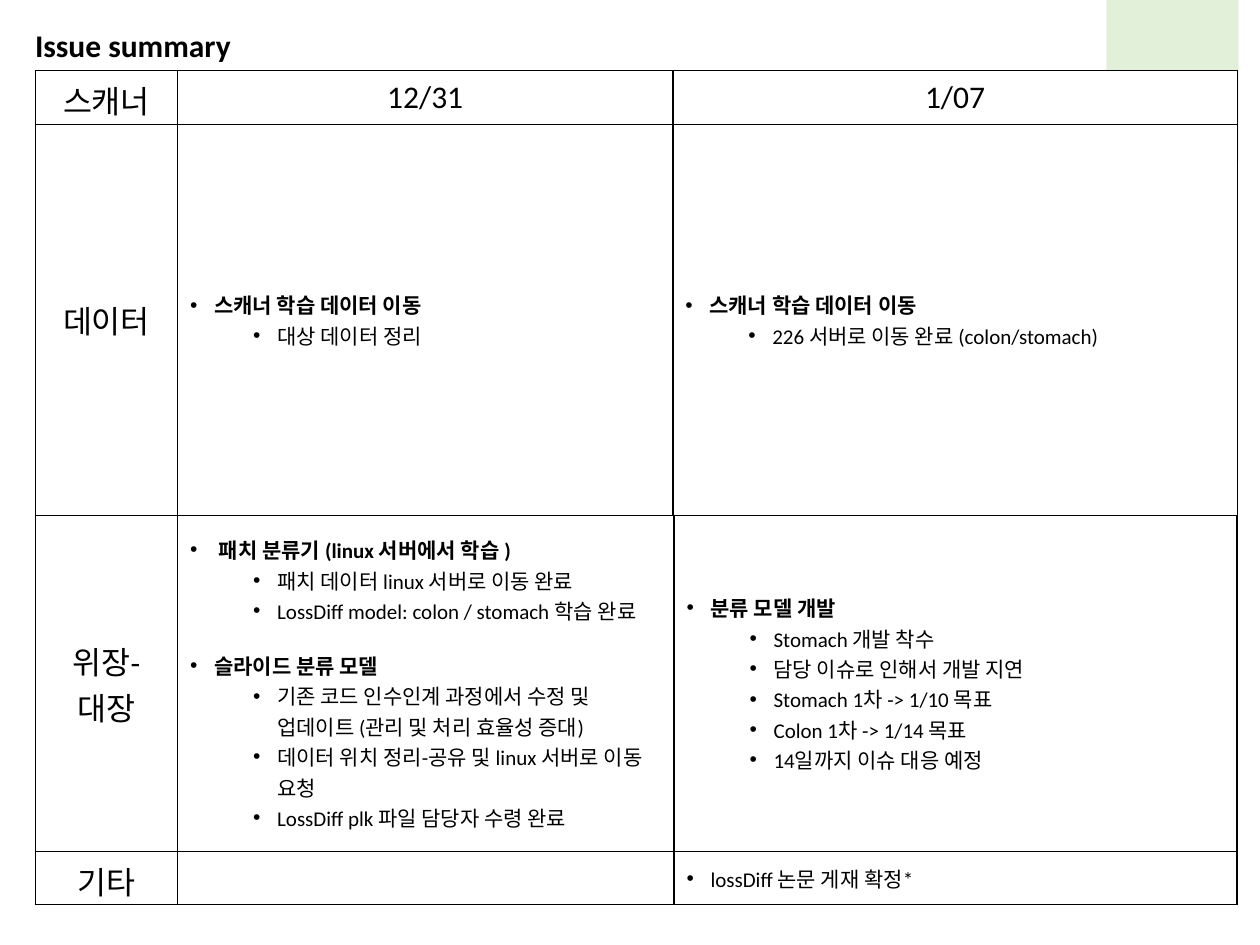
"""Build the weekly issue summary slide."""
import pptx
import pptx.dml.color
import pptx.enum.shapes
import pptx.enum.text
import pptx.oxml
import pptx.oxml.ns
import pptx.util
from pptx.util import Inches

BLACK = pptx.dml.color.RGBColor(0x00, 0x00, 0x00)
WHITE = pptx.dml.color.RGBColor(0xFF, 0xFF, 0xFF)
PALE_GREEN = pptx.dml.color.RGBColor(0xE2, 0xF0, 0xD9)

STATUS_COLUMNS = [1.13, 3.93, 4.48]
PROGRESS_COLUMNS = [1.13, 3.94, 4.47]
HEADING, DETAIL = 0, 1

STATUS_ROWS = [
    ["스캐너", "12/31", "1/07"],
    [
        "데이터",
        [(HEADING, "스캐너 학습 데이터 이동"), (DETAIL, "대상 데이터 정리")],
        [(HEADING, "스캐너 학습 데이터 이동"),
         (DETAIL, "226 서버로 이동 완료 (colon/stomach)")],
    ],
]
PROGRESS_ROWS = [
    [
        "위장-대장",
        [
            (HEADING, " 패치 분류기 (linux 서버에서 학습 )"),
            (DETAIL, "패치 데이터 linux 서버로 이동 완료"),
            (DETAIL, "LossDiff model: colon / stomach 학습 완료"),
            (HEADING, "슬라이드 분류 모델"),
            (DETAIL, "기존 코드 인수인계 과정에서 수정 및 업데이트 (관리 및 처리 효율성 증대)"),
            (DETAIL, "데이터 위치 정리-공유 및 linux 서버로 이동 요청"),
            (DETAIL, "LossDiff plk 파일 담당자 수령 완료"),
        ],
        [
            (HEADING, "분류 모델 개발"),
            (DETAIL, "Stomach 개발 착수"),
            (DETAIL, "담당 이슈로 인해서 개발 지연"),
            (DETAIL, "Stomach 1차 -> 1/10 목표"),
            (DETAIL, "Colon 1차 -> 1/14 목표"),
            (DETAIL, "14일까지 이슈 대응 예정"),
        ],
    ],
    ["기타", "", [(HEADING, "lossDiff 논문 게재 확정*")]],
]


class SlideBuilder:
    """Hold the style and the current slide."""

    font_name = "Calibri"
    label_size = 18
    item_size = 12
    group_gap = 14
    border_width = 1

    def __init__(self, slide):
        self.slide = slide

    def style(self, paragraph, size, bold=False):
        font = paragraph.font
        font.name = self.font_name
        font.size = pptx.util.Pt(size)
        font.bold = bold
        font.color.rgb = BLACK

    def rectangle(self, left, top, width, height, color):
        shape = self.slide.shapes.add_shape(
            pptx.enum.shapes.MSO_SHAPE.RECTANGLE,
            Inches(left), Inches(top), Inches(width), Inches(height))
        shape.shadow.inherit = False
        shape.fill.solid()
        shape.fill.fore_color.rgb = color
        shape.line.fill.background()

    def title(self, left, top, width, height, text):
        shape = self.slide.shapes.add_textbox(
            Inches(left), Inches(top), Inches(width), Inches(height))
        shape.text_frame.word_wrap = True
        paragraph = shape.text_frame.paragraphs[0]
        paragraph.text = text
        self.style(paragraph, self.label_size, bold=True)

    def table(self, left, top, columns, heights, rows):
        table = self.slide.shapes.add_table(
            len(rows), len(columns), Inches(left), Inches(top),
            Inches(sum(columns)), Inches(sum(heights))).table
        table.first_row = table.horz_banding = False
        for column, width in zip(table.columns, columns):
            column.width = Inches(width)
        for row, height, contents in zip(table.rows, heights, rows):
            row.height = Inches(height)
            for cell, content in zip(row.cells, contents):
                self.cell(cell, content)

    def cell(self, cell, content):
        cell.fill.solid()
        cell.fill.fore_color.rgb = WHITE
        cell.vertical_anchor = pptx.enum.text.MSO_ANCHOR.MIDDLE
        self.borders(cell)
        if isinstance(content, str):
            paragraph = cell.text_frame.paragraphs[0]
            paragraph.text = content
            paragraph.alignment = pptx.enum.text.PP_ALIGN.CENTER
            self.style(paragraph, self.label_size)
        else:
            self.bullets(cell.text_frame, content)

    def bullets(self, text_frame, items):
        for index, (level, text) in enumerate(items):
            paragraph = (text_frame.add_paragraph() if index
                         else text_frame.paragraphs[0])
            paragraph.text = text
            paragraph.level = level
            properties = paragraph._p.get_or_add_pPr()
            properties.set("marL", str(Inches(0.19 + 0.5 * level)))
            properties.set("indent", str(Inches(-0.19)))
            if index and level == HEADING:
                paragraph.space_before = pptx.util.Pt(self.group_gap)
            namespace = pptx.oxml.ns.nsdecls("a")
            for element in ('buFont {} typeface="Arial"', 'buChar {} char="•"'):
                properties.append(pptx.oxml.parse_xml(
                    "<a:" + element.format(namespace) + "/>"))
            self.style(paragraph, self.item_size,
                       bold=level == HEADING and len(items) > 1)

    def borders(self, cell):
        properties = cell._tc.get_or_add_tcPr()
        for index, side in enumerate(("lnL", "lnR", "lnT", "lnB")):
            properties.insert(index, pptx.oxml.parse_xml(
                f'<a:{side} {pptx.oxml.ns.nsdecls("a")} '
                f'w="{pptx.util.Pt(self.border_width)}">'
                f'<a:solidFill><a:srgbClr val="{BLACK}"/></a:solidFill>'
                f'</a:{side}>'))


def main():
    presentation = pptx.Presentation()
    presentation.slide_width = Inches(10)
    presentation.slide_height = Inches(7.5)
    builder = SlideBuilder(
        presentation.slides.add_slide(presentation.slide_layouts[6]))
    builder.rectangle(8.78, -0.15, 1.05, 1.44, PALE_GREEN)
    builder.title(0.18, 0.16, 3.13, 0.4, "Issue summary")
    builder.table(0.28, 0.56, STATUS_COLUMNS, [0.43, 3.1], STATUS_ROWS)
    builder.table(0.28, 4.09, PROGRESS_COLUMNS, [2.67, 0.42], PROGRESS_ROWS)
    presentation.save("out.pptx")


if __name__ == "__main__":
    main()
